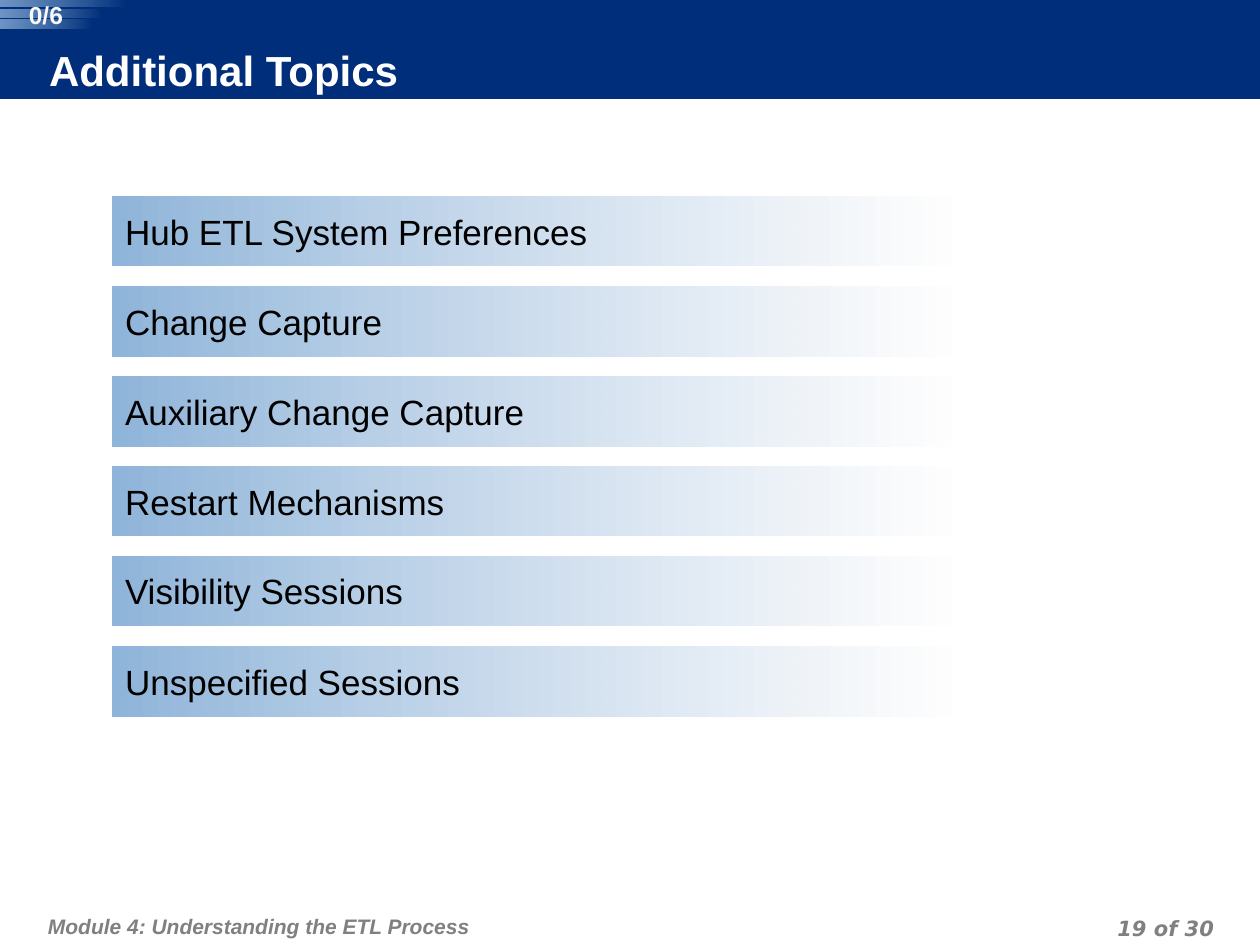
from lxml import etree
from pptx import Presentation
from pptx.dml.color import RGBColor
from pptx.enum.shapes import MSO_SHAPE
from pptx.enum.text import MSO_ANCHOR, PP_ALIGN
from pptx.oxml.ns import qn
from pptx.util import Emu, Pt

RECT, ROUNDED = MSO_SHAPE.RECTANGLE, MSO_SHAPE.ROUNDED_RECTANGLE
TOP, MIDDLE = MSO_ANCHOR.TOP, MSO_ANCHOR.MIDDLE
LEFT, CENTER, RIGHT = PP_ALIGN.LEFT, PP_ALIGN.CENTER, PP_ALIGN.RIGHT

# Content
TITLE = "Additional Topics"
TOPICS = [
    "Hub ETL System Preferences",
    "Change Capture",
    "Auxiliary Change Capture",
    "Restart Mechanisms",
    "Visibility Sessions",
    "Unspecified Sessions",
]
COUNTER = "0/6"
FOOTERS = [  # text, box, insets, alignment, font
    ("Module 4: Understanding the ETL Process", (42, 894, 834, 50), (6, 13, 6, 6), LEFT, "Arial"),
    ("19 of 30", (926, 909, 294, 32), (6, 0, 6, 0), RIGHT, "DejaVu Sans"),
]
STRIPS = [(0, 0, 127, 7), (0, 10, 103, 7), (0, 20, 92, 9)]

# Layout in px
WIDTH, HEIGHT, PX = 1260, 945, 914400 / 126
BAR_LEFT, BAR_TOP, BAR_WIDTH, BAR_HEIGHT, BAR_PITCH = 112, 197, 839, 69, 90

NAVY, BLUE, PALE, GREY = "002E7A", "90B5DA", "FEFEFE", "808080"


def px(value):
    return Emu(round(value * PX))


def color(value):
    return RGBColor.from_string(value)


def add_box(shapes, kind, place):
    box = shapes.add_shape(kind, *map(px, place))
    box.shadow.inherit = False
    box.line.fill.background()
    if kind == ROUNDED:
        box.adjustments[0] = 0
    return box


def fill_solid(box, value):
    box.fill.solid()
    box.fill.fore_color.rgb = color(value)


def fill_gradient(box, stops):
    """Fill from right to left with (colour, opacity in percent) stops."""
    box.fill.gradient()
    box.fill.gradient_angle = 180
    for stop, position, (value, _) in zip(box.fill.gradient_stops, (0, 1), stops):
        stop.position = position
        stop.color.rgb = color(value)
    for node, (_, opacity) in zip(box._element.spPr.iter(qn("a:srgbClr")), stops):
        if opacity < 100:
            etree.SubElement(node, qn("a:alpha")).set("val", str(opacity * 1000))


def write(box, text, size, value, insets, align=LEFT, anchor=TOP,
          name="Arial", bold=False, italic=False):
    frame = box.text_frame
    frame.word_wrap = True
    frame.vertical_anchor = anchor
    (frame.margin_left, frame.margin_top,
     frame.margin_right, frame.margin_bottom) = map(px, insets)
    para = frame.paragraphs[0]
    para.alignment = align
    span = para.add_run()
    span.text = text
    span.font.name, span.font.size = name, Pt(size)
    span.font.bold, span.font.italic = bold, italic
    span.font.color.rgb = color(value)
    return para


deck = Presentation()
deck.slide_width, deck.slide_height = px(WIDTH), px(HEIGHT)
page = deck.slides.add_slide(deck.slide_layouts[5])
shapes = page.shapes

# Header band, placed behind the title
header = add_box(shapes, RECT, (0, 0, WIDTH, 99))
fill_solid(header, NAVY)
shapes._spTree.insert(2, header._element)

# Title
title = shapes.title
title.left, title.top, title.width, title.height = map(px, (49, 48, 992, 50))
fill_solid(title, NAVY)
write(title, TITLE, 24, "FFFFFF", (0, 0, 6, 6), anchor=MIDDLE, bold=True)

# Footer and page number
for text, place, insets, align, name in FOOTERS:
    box = shapes.add_textbox(*map(px, place))
    para = write(box, text, 12, GREY, insets, align, name=name, bold=True, italic=True)
    para.line_spacing = Pt(18)

# Topic bars
for index, topic in enumerate(TOPICS):
    bar = add_box(shapes, ROUNDED,
                  (BAR_LEFT, BAR_TOP + index * BAR_PITCH, BAR_WIDTH, BAR_HEIGHT))
    fill_gradient(bar, [(PALE, 75), (BLUE, 100)])
    write(bar, topic, 20, "000000", (13, 13, 13, 6))

# Counter on its fading strips
badge = shapes.add_group_shape()
for place in STRIPS:
    fill_gradient(add_box(badge.shapes, ROUNDED, place), [(NAVY, 100), (BLUE, 76)])
counter = badge.shapes.add_textbox(*map(px, (14, 0, 64, 29)))
write(counter, COUNTER, 14, "F8F8F8", (0, 0, 0, 0), CENTER, bold=True)

deck.save("out.pptx")
